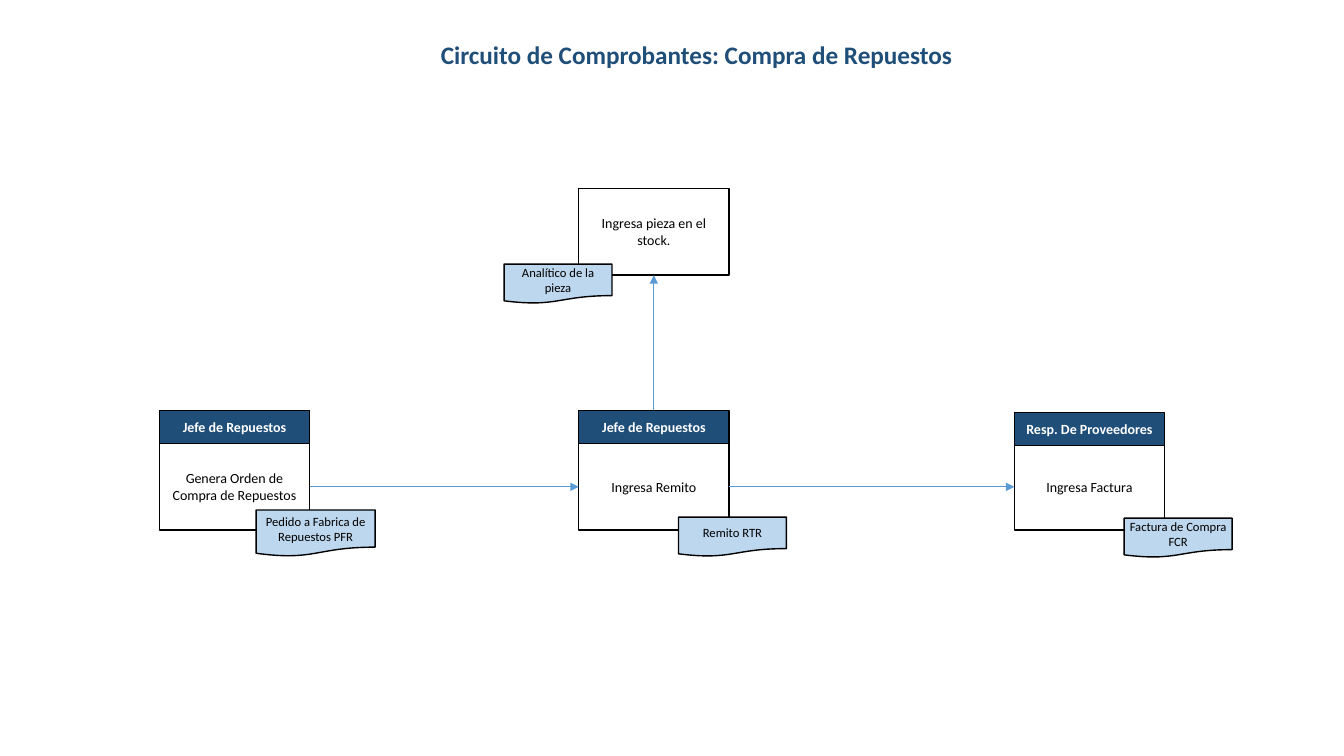
from dataclasses import dataclass

from lxml import etree
from pptx import Presentation
from pptx.dml.color import RGBColor
from pptx.enum.shapes import MSO_CONNECTOR, MSO_SHAPE
from pptx.enum.text import MSO_ANCHOR, PP_ALIGN
from pptx.oxml.ns import qn
from pptx.util import Inches, Pt

RECTANGLE = MSO_SHAPE.RECTANGLE
DOCUMENT = MSO_SHAPE.FLOWCHART_DOCUMENT
STRAIGHT = MSO_CONNECTOR.STRAIGHT
CENTER = PP_ALIGN.CENTER
MIDDLE = MSO_ANCHOR.MIDDLE
TOP_ANCHOR = MSO_ANCHOR.TOP
TITLE_ONLY = 5
TOP, LEFT, BOTTOM, RIGHT = range(4)  # connection sites of a rectangle


@dataclass(frozen=True)
class Theme:
    """Colours, font and type sizes of the slide."""
    font: str = "Calibri"
    navy: RGBColor = RGBColor(0x1F, 0x4E, 0x79)
    pale_blue: RGBColor = RGBColor(0xBD, 0xD7, 0xEE)
    arrow_blue: RGBColor = RGBColor(0x5B, 0x9B, 0xD5)
    black: RGBColor = RGBColor(0, 0, 0)
    white: RGBColor = RGBColor(0xFF, 0xFF, 0xFF)
    title_size: int = 18
    step_size: int = 10
    document_size: int = 9
    outline: float = 1
    arrow_width: float = 0.5


THEME = Theme()
STEP_WIDTH, STEP_HEIGHT, ROLE_HEIGHT = 1.49, 0.86, 0.33
ORDER_LEFT, RECEIPT_LEFT, INVOICE_LEFT = 1.58, 5.74, 10.06
STOCK_TOP, FLOW_TOP, ROLE_TOP = 1.87, 4.4, 4.07


def write_text(shape, text, size, color, bold=False, anchor=MIDDLE):
    """Put one centred paragraph into a shape."""
    frame = shape.text_frame
    frame.word_wrap = True
    frame.vertical_anchor = anchor
    para = frame.paragraphs[0]
    para.text = text
    para.alignment = CENTER
    font = para.font
    font.name, font.size, font.bold = THEME.font, Pt(size), bold
    font.color.rgb = color


def add_title(page, text):
    """Place and format the title placeholder."""
    title = page.shapes.title
    title.left, title.top = Inches(1.58), Inches(0.34)
    title.width, title.height = Inches(10.66), Inches(0.4)
    write_text(title, text, THEME.title_size, THEME.navy, True, TOP_ANCHOR)


def add_outlined(page, kind, left, top, width, height, fill):
    """Draw a filled shape with a black outline."""
    shape = page.shapes.add_shape(
        kind, Inches(left), Inches(top), Inches(width), Inches(height))
    shape.shadow.inherit = False
    shape.fill.solid()
    shape.fill.fore_color.rgb = fill
    shape.line.color.rgb = THEME.black
    shape.line.width = Pt(THEME.outline)
    return shape


def add_step(page, text, left, top):
    """Draw the white box of a step."""
    box = add_outlined(page, RECTANGLE, left, top, STEP_WIDTH, STEP_HEIGHT,
                       THEME.white)
    write_text(box, text, THEME.step_size, THEME.black)
    return box


def add_role(page, text, left, top=ROLE_TOP):
    """Draw the dark header naming who performs a step."""
    header = add_outlined(page, RECTANGLE, left, top, STEP_WIDTH, ROLE_HEIGHT,
                          THEME.navy)
    write_text(header, text, THEME.step_size, THEME.white, bold=True)
    return header


def add_document(page, text, left, top, width=1.07, height=0.39):
    """Draw the document that a step produces."""
    document = add_outlined(page, DOCUMENT, left, top, width, height,
                            THEME.pale_blue)
    frame = document.text_frame
    frame.margin_left = frame.margin_right = Inches(0.05)
    write_text(document, text, THEME.document_size, THEME.black)


def add_arrow(page, start, start_site, end, end_site):
    """Join two shapes with a thin arrow."""
    arrow = page.shapes.add_connector(STRAIGHT, 0, 0, 0, 0)
    arrow.begin_connect(start, start_site)
    arrow.end_connect(end, end_site)
    arrow.line.color.rgb = THEME.arrow_blue
    arrow.line.width = Pt(THEME.arrow_width)
    etree.SubElement(arrow.line._get_or_add_ln(), qn("a:tailEnd"),
                     type="triangle")
    etree.SubElement(arrow._element.spPr, qn("a:effectLst"))


def main():
    """Build the spare parts purchase circuit."""
    deck = Presentation()
    deck.slide_width, deck.slide_height = Inches(13.33), Inches(7.5)
    page = deck.slides.add_slide(deck.slide_layouts[TITLE_ONLY])
    add_title(page, "Circuito de Comprobantes: Compra de Repuestos")

    order = add_step(page, "Genera Orden de Compra de Repuestos",
                     ORDER_LEFT, FLOW_TOP)
    receipt = add_step(page, "Ingresa Remito", RECEIPT_LEFT, FLOW_TOP)
    invoice = add_step(page, "Ingresa Factura", INVOICE_LEFT, FLOW_TOP)
    stock = add_step(page, "Ingresa pieza en el stock.",
                     RECEIPT_LEFT, STOCK_TOP)

    add_role(page, "Jefe de Repuestos", ORDER_LEFT)
    receipt_role = add_role(page, "Jefe de Repuestos", RECEIPT_LEFT)
    add_role(page, "Resp. De Proveedores", INVOICE_LEFT, 4.09)

    add_arrow(page, order, RIGHT, receipt, LEFT)
    add_arrow(page, receipt, RIGHT, invoice, LEFT)
    add_arrow(page, receipt_role, TOP, stock, BOTTOM)

    add_document(page, "Pedido a Fabrica de Repuestos PFR",
                 2.54, 5.06, 1.18, 0.46)
    add_document(page, "Remito RTR", 6.73, 5.13)
    add_document(page, "Factura de Compra FCR", 11.15, 5.14)
    add_document(page, "Analítico de la pieza", 5, 2.62)

    deck.save("out.pptx")


main()
